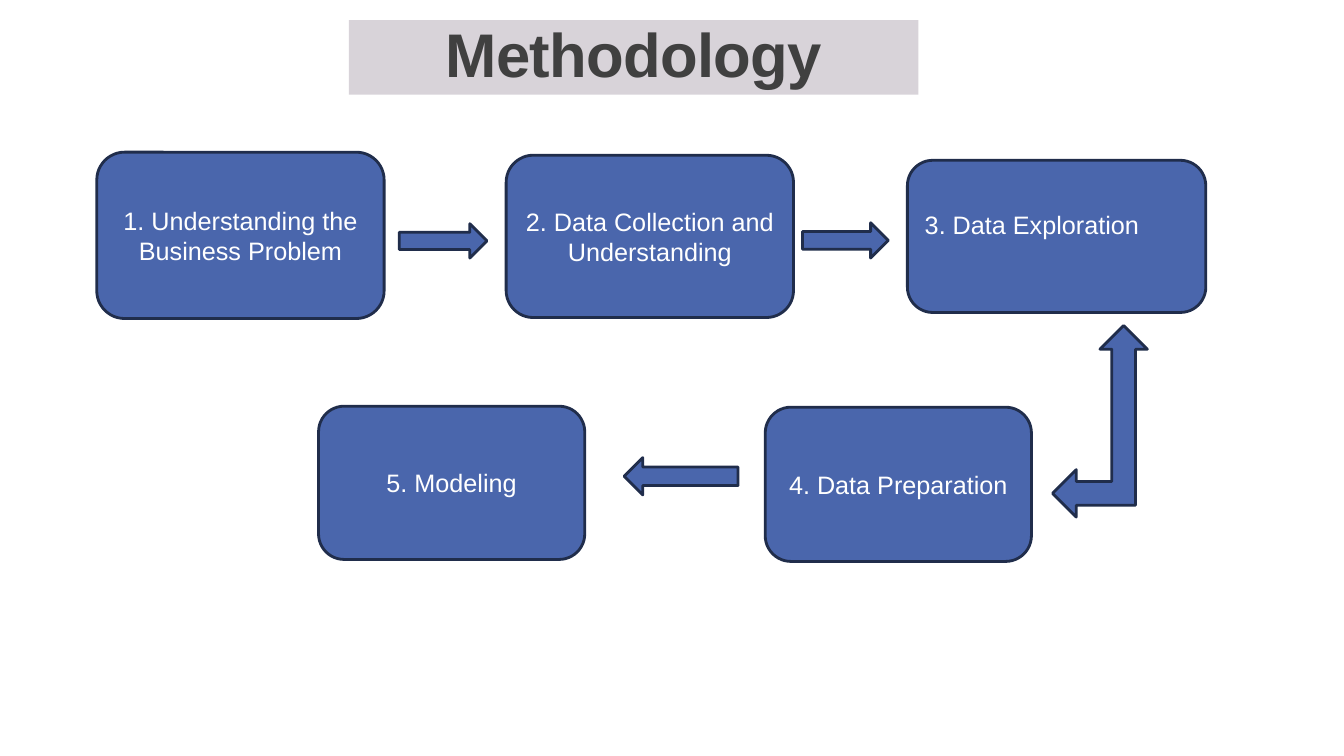
from dataclasses import dataclass

from pptx import Presentation
from pptx import util as u
from pptx.dml.color import RGBColor
from pptx.enum import shapes, text

PX = 9144
Shape = shapes.MSO_SHAPE
Align = text.PP_ALIGN


@dataclass(frozen=True)
class Theme:
    font: str = "Arial"
    fill: str = "4A66AC"
    outline: str = "202D4B"
    label: str = "FFFFFF"
    title: str = "404040"
    title_fill: str = "D8D3D9"
    line_pt: int = 2
    label_pt: int = 18
    title_pt: int = 44


@dataclass(frozen=True)
class Box:
    left: int
    top: int
    width: int
    height: int


@dataclass(frozen=True)
class Step:
    label: str
    box: Box
    align: Align = Align.CENTER
    bottom_inset: int = 5


@dataclass(frozen=True)
class Arrow:
    kind: Shape
    box: Box


THEME = Theme()

STEPS = [
    Step("1. Understanding the Business Problem", Box(96, 151, 285, 165)),
    Step("2. Data Collection and Understanding", Box(502, 154, 285, 161)),
    Step("3. Data Exploration", Box(900, 159, 296, 151), Align.LEFT, 28),
    Step("4. Data Preparation", Box(759, 404, 264, 153)),
    Step("5. Modeling", Box(316, 403, 264, 152)),
]

ARROWS = [
    Arrow(Shape.RIGHT_ARROW, Box(396, 222, 87, 34)),
    Arrow(Shape.RIGHT_ARROW, Box(796, 221, 85, 35)),
    Arrow(Shape.LEFT_UP_ARROW, Box(1044, 323, 94, 190)),
    Arrow(Shape.LEFT_ARROW, Box(619, 454, 113, 37)),
]

TITLE_BOX = Box(346, 20, 565, 74)


def emu(px: int) -> u.Emu:
    return u.Emu(px * PX)


def write(tf, label: str, *, size: int, color: str, align=Align.CENTER,
          anchor=text.MSO_ANCHOR.MIDDLE, bold: bool = False,
          spacing: float = 1.0, tracking: int = 0) -> None:
    tf.word_wrap = True
    tf.auto_size = text.MSO_AUTO_SIZE.NONE
    tf.vertical_anchor = anchor
    p = tf.paragraphs[0]
    p.alignment = align
    p.line_spacing = spacing
    p.space_before = u.Pt(0)
    r = p.add_run()
    r.text = label
    r.font.name = THEME.font
    r.font.size = u.Pt(size)
    r.font.bold = bold
    r.font.color.rgb = RGBColor.from_string(color)
    if tracking:
        r.font._element.set("spc", str(tracking))


def paint(sp, color: str) -> None:
    sp.fill.solid()
    sp.fill.fore_color.rgb = RGBColor.from_string(color)


def add_block(s, kind: Shape, box: Box):
    sp = s.shapes.add_shape(kind, emu(box.left), emu(box.top),
                            emu(box.width), emu(box.height))
    sp.shadow.inherit = False
    paint(sp, THEME.fill)
    sp.line.color.rgb = RGBColor.from_string(THEME.outline)
    sp.line.width = u.Pt(THEME.line_pt)
    return sp


def add_step(s, step: Step) -> None:
    tf = add_block(s, Shape.ROUNDED_RECTANGLE, step.box).text_frame
    tf.margin_bottom = emu(step.bottom_inset)
    write(tf, step.label, size=THEME.label_pt, color=THEME.label,
          align=step.align)


def set_title(s, label: str, box: Box) -> None:
    sp = s.shapes.title
    sp.left, sp.top = emu(box.left), emu(box.top)
    sp.width, sp.height = emu(box.width), emu(box.height)
    paint(sp, THEME.title_fill)
    write(sp.text_frame, label, size=THEME.title_pt, color=THEME.title,
          anchor=text.MSO_ANCHOR.BOTTOM, bold=True, spacing=0.85,
          tracking=-50)


def main() -> None:
    prs = Presentation()
    prs.slide_width, prs.slide_height = emu(1333), emu(750)
    s = prs.slides.add_slide(prs.slide_layouts.get_by_name("Title Only"))
    set_title(s, "Methodology", TITLE_BOX)
    for step in STEPS:
        add_step(s, step)
    for arrow in ARROWS:
        add_block(s, arrow.kind, arrow.box)
    prs.save("out.pptx")


if __name__ == "__main__":
    main()
